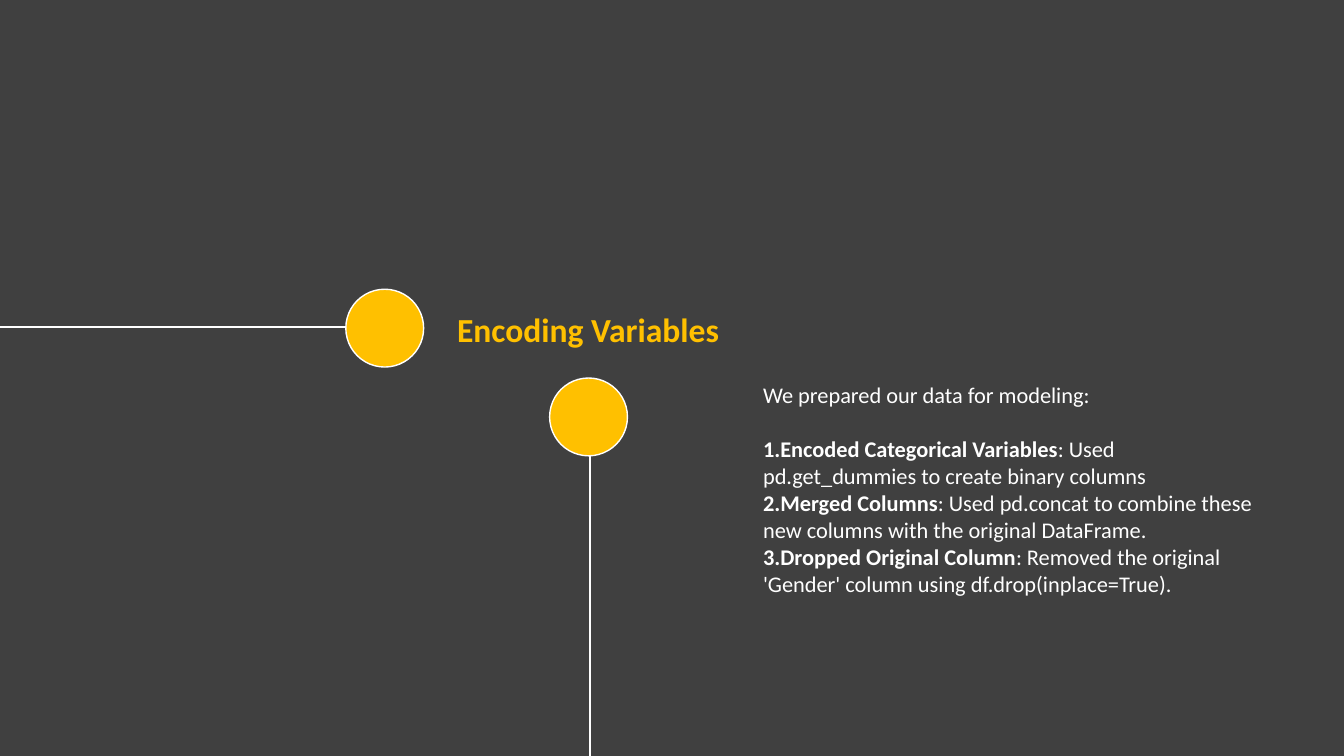
from lxml.etree import SubElement
from pptx import Presentation
from pptx.dml.color import RGBColor
from pptx.enum.shapes import MSO_CONNECTOR, MSO_SHAPE
from pptx.enum.text import MSO_ANCHOR, MSO_AUTO_SIZE
from pptx.oxml.ns import qn
from pptx.util import Pt

COLORS = {"background": "404040", "accent": "FFC000", "light": "FFFFFF"}
FONT = "Calibri"
SLIDE_WIDTH, SLIDE_HEIGHT = 960, 540
DOT_SIZE = 55.6

INTRODUCTION = "We prepared our data for modeling:"
STEPS = [
    ("Encoded Categorical Variables", ": Used pd.get_dummies to create binary columns"),
    ("Merged Columns", ": Used pd.concat to combine these new columns with the original DataFrame."),
    ("Dropped Original Column", ": Removed the original 'Gender' column using df.drop(inplace=True)."),
]


def color(name):
    return RGBColor.from_string(COLORS[name])


def add_filled_shape(slide, kind, box, fill):
    shape = slide.shapes.add_shape(kind, *map(Pt, box))
    shape.shadow.inherit = False
    shape.fill.solid()
    shape.fill.fore_color.rgb = color(fill)
    return shape


def add_background(slide, box):
    add_filled_shape(slide, MSO_SHAPE.RECTANGLE, box, "background").line.fill.background()


def add_dot(slide, left, top):
    dot = add_filled_shape(slide, MSO_SHAPE.OVAL, (left, top, DOT_SIZE, DOT_SIZE), "accent")
    dot.line.color.rgb = color("light")
    dot.line.width = Pt(1)


def add_line(slide, start, end):
    line = slide.shapes.add_connector(MSO_CONNECTOR.STRAIGHT, *map(Pt, start + end))
    line.line.color.rgb = color("light")
    line.line.width = Pt(1.5)
    SubElement(line._element.spPr, qn("a:effectLst"))


def add_timeline(slide, box):
    """Place a dot led in from the left edge and a dot led out to the bottom edge."""
    left, top, width, height = box
    upper_left, upper_top = left + 247, top + 206.6
    lower_left, lower_top = left + 392.6, top + 270
    line_y, line_x = top + 233.3, left + 421.6
    add_dot(slide, upper_left, upper_top)
    add_dot(slide, lower_left, lower_top)
    add_line(slide, (line_x, lower_top + DOT_SIZE), (line_x, top + height))
    add_line(slide, (upper_left, line_y), (left, line_y))


def add_text_box(slide, box, anchor):
    frame = slide.shapes.add_textbox(*map(Pt, box)).text_frame
    frame.word_wrap = True
    frame.auto_size = MSO_AUTO_SIZE.SHAPE_TO_FIT_TEXT
    frame.vertical_anchor = anchor
    return frame


def add_run(paragraph, text, size, color_name, bold=False):
    run = paragraph.add_run()
    run.text = text
    run.font.name = FONT
    run.font.size = Pt(size)
    run.font.bold = bold
    run.font.color.rgb = color(color_name)


def add_title(slide, box):
    frame = add_text_box(slide, box, MSO_ANCHOR.TOP)
    add_run(frame.paragraphs[0], "Encoding Variables", 24, "accent", bold=True)


def add_steps(slide, box):
    """Place the introduction and, one line below it, the numbered steps."""
    frame = add_text_box(slide, box, MSO_ANCHOR.MIDDLE)
    add_run(frame.paragraphs[0], INTRODUCTION, 16, "light")
    for index, (name, explanation) in enumerate(STEPS):
        paragraph = frame.add_paragraph()
        if index == 0:
            paragraph.space_before = Pt(19.5)
        properties = paragraph._p.get_or_add_pPr()
        SubElement(properties, qn("a:buFont"), typeface="+mj-lt")
        SubElement(properties, qn("a:buAutoNum"), type="arabicPeriod")
        add_run(paragraph, name, 16, "light", bold=True)
        add_run(paragraph, explanation, 16, "light")


def main():
    presentation = Presentation()
    presentation.slide_width = Pt(SLIDE_WIDTH)
    presentation.slide_height = Pt(SLIDE_HEIGHT)
    slide = presentation.slides.add_slide(presentation.slide_layouts[6])
    whole_slide = (0, 0, SLIDE_WIDTH, SLIDE_HEIGHT)
    add_background(slide, whole_slide)
    add_title(slide, (319.4, 216.8, 202.4, 36.3))
    add_timeline(slide, whole_slide)
    add_steps(slide, (538, 267.8, 374.4, 162.8))
    presentation.save("out.pptx")


if __name__ == "__main__":
    main()
